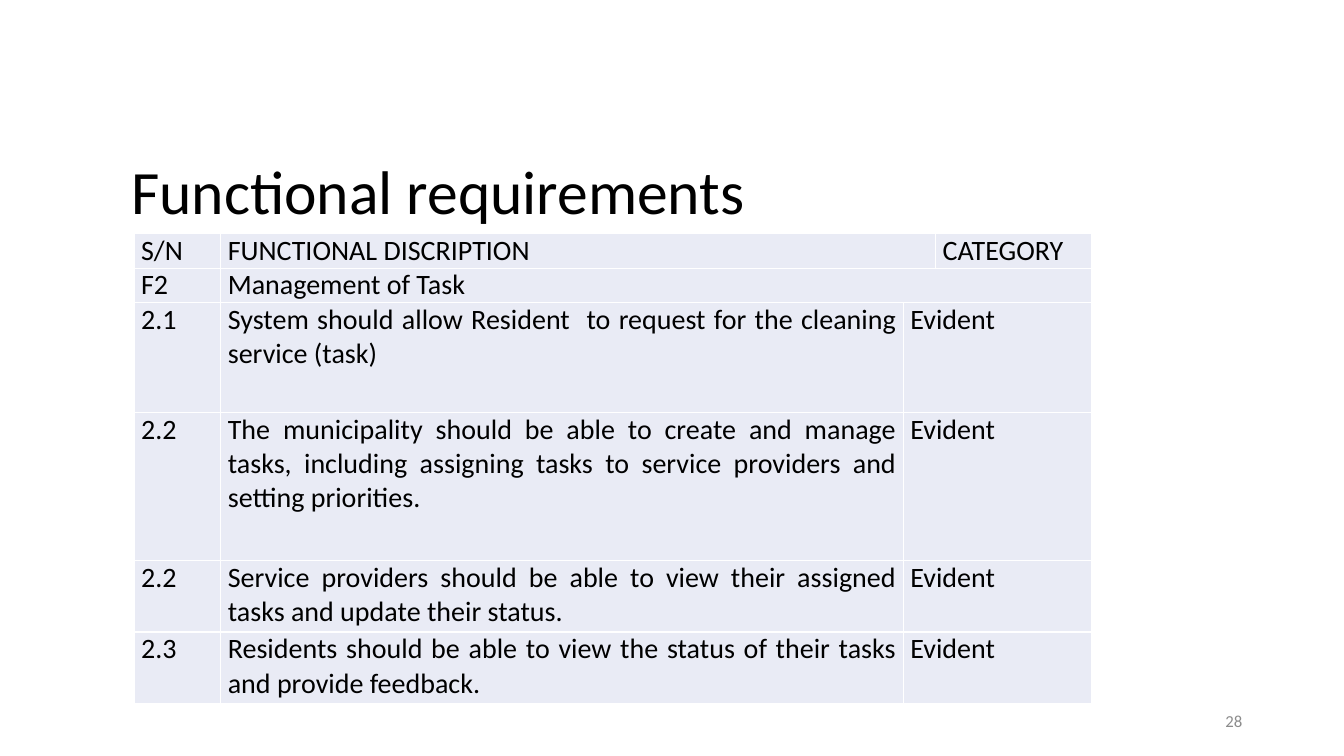
"""Build the functional requirements slide with its task table."""
from dataclasses import dataclass

from lxml import etree
from pptx import Presentation
from pptx.dml.color import RGBColor
from pptx.enum.text import MSO_ANCHOR, PP_ALIGN
from pptx.oxml.ns import qn
from pptx.util import Inches, Pt

MIDDLE = MSO_ANCHOR.MIDDLE
LEFT, RIGHT, JUSTIFY = PP_ALIGN.LEFT, PP_ALIGN.RIGHT, PP_ALIGN.JUSTIFY


@dataclass(frozen=True)
class Theme:
    """Colours, font and type sizes."""
    font: str = "Calibri"
    ink: str = "000000"
    grey: str = "8C8C8C"
    fill: str = "E9EBF5"
    rule: str = "FFFFFF"
    head: int = 44
    body: int = 20
    small: int = 12


THEME = Theme()
TITLE = "Functional requirements"
PAGE = "28"
COLS = [0.86, 6.77, 0.32, 1.55]
ROWS = [
    (0.34, {0: "S/N", 1: "FUNCTIONAL DISCRIPTION", 3: "CATEGORY"}),
    (0.34, {0: "F2", 1: "Management of Task"}),
    (1.09, {0: "2.1", 1: "System should allow Resident  to request for the "
                         "cleaning service (task)", 2: "Evident"}),
    (1.47, {0: "2.2", 1: "The municipality should be able to create and manage "
                         "tasks, including assigning tasks to service providers "
                         "and setting priorities.", 2: "Evident"}),
    (0.71, {0: "2.2", 1: "Service providers should be able to view their "
                         "assigned tasks and update their status.",
            2: "Evident"}),
    (0.71, {0: "2.3", 1: "Residents should be able to view the status of their "
                         "tasks and provide feedback.", 2: "Evident"}),
]


def place(shape, *box):
    shape.left, shape.top, shape.width, shape.height = map(Inches, box)


def write(frame, text, size, color, align):
    para = frame.paragraphs[0]
    para.alignment = align
    run = para.add_run()
    run.text = text
    run.font.name = THEME.font
    run.font.size = Pt(size)
    run.font.color.rgb = RGBColor.from_string(color)
    return para


def style(cell):
    props = cell._tc.get_or_add_tcPr()
    for side in ("lnL", "lnR", "lnT", "lnB"):
        line = etree.SubElement(props, qn("a:" + side), w=str(Pt(1)))
        paint = etree.SubElement(line, qn("a:solidFill"))
        etree.SubElement(paint, qn("a:srgbClr"), val=THEME.rule)
    cell.fill.solid()
    cell.fill.fore_color.rgb = RGBColor.from_string(THEME.fill)
    cell.margin_left = cell.margin_right = Inches(0.07)
    cell.margin_top = cell.margin_bottom = 0


def add_grid(slide):
    high = sum(tall for tall, _ in ROWS)
    frame = slide.shapes.add_table(
        len(ROWS), len(COLS), Inches(1.33), Inches(2.32),
        Inches(sum(COLS)), Inches(high))
    table = frame.table
    for col, wide in zip(table.columns, COLS):
        col.width = Inches(wide)
    for r, (tall, texts) in enumerate(ROWS):
        table.rows[r].height = Inches(tall)
        for cell in table.rows[r].cells:
            style(cell)
        starts = list(texts)
        ends = starts[1:] + [len(COLS)]
        for c, end in zip(starts, ends):
            cell = table.cell(r, c)
            if end - c > 1:
                cell.merge(table.cell(r, end - 1))
            para = write(cell.text_frame, texts[c], THEME.body, THEME.ink,
                         JUSTIFY)
            para.space_after = Pt(8)


deck = Presentation()
deck.slide_width, deck.slide_height = Inches(13.33), Inches(7.5)
slide = deck.slides.add_slide(deck.slide_layouts[5])

title = slide.shapes.title
place(title, 0.92, 1.54, 11.5, 0.78)
title.text_frame.vertical_anchor = MIDDLE
title.text_frame.margin_left = Inches(0.38)
head = write(title.text_frame, TITLE, THEME.head, THEME.ink, LEFT)
head.line_spacing = 0.9

add_grid(slide)

page = slide.shapes.add_textbox(0, 0, 0, 0)
place(page, 9.42, 6.95, 3, 0.4)
page.text_frame.word_wrap = True
page.text_frame.vertical_anchor = MIDDLE
write(page.text_frame, PAGE, THEME.small, THEME.grey, RIGHT)

deck.save("out.pptx")
